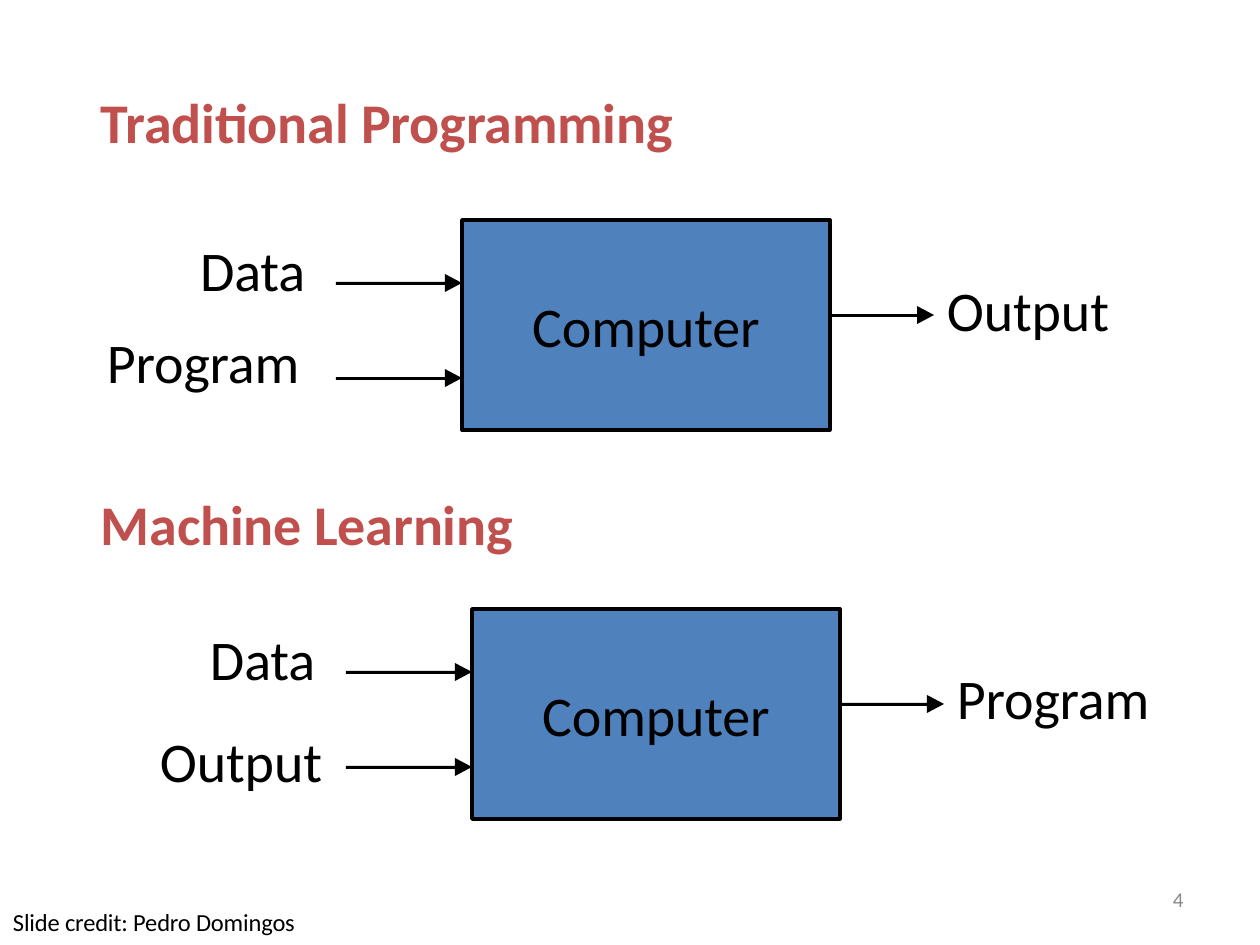
import pptx
import pptx.dml.color
import pptx.enum.shapes
import pptx.enum.text
import pptx.util

SCALE = 914400 / 126
FONT = "Calibri"
COLORS = {
    "heading": "C0504D",
    "computer": "4F81BD",
    "ink": "000000",
    "page": "898989",
}
BOX_WIDTH, BOX_HEIGHT = 368, 210
INPUT_LENGTH, OUTPUT_LENGTH = 126, 104
HEAD_LENGTH, HEAD_HALF = 17, 9


def px(length):
    return pptx.util.Emu(round(length * SCALE))


def rgb(name):
    return pptx.dml.color.RGBColor.from_string(COLORS[name])


def write(frame, wording, size, color, bold=False):
    frame.word_wrap = True
    frame.margin_left = frame.margin_right = 0
    frame.margin_top = frame.margin_bottom = 0
    frame.text = wording
    run = frame.paragraphs[0].runs[0]
    run.font.name = FONT
    run.font.size = pptx.util.Pt(size)
    run.font.bold = bold
    run.font.color.rgb = rgb(color)
    run._r.get_or_add_rPr().set("spc", "-10")


def add_label(slide, wording, left, top, width, height=70, size=32,
              color="ink", bold=False):
    label = slide.shapes.add_textbox(px(left), px(top), px(width), px(height))
    write(label.text_frame, wording, size, color, bold)


def add_computer(slide, left, top):
    computer = slide.shapes.add_shape(
        pptx.enum.shapes.MSO_SHAPE.RECTANGLE,
        px(left), px(top), px(BOX_WIDTH), px(BOX_HEIGHT))
    computer.shadow.inherit = False
    computer.fill.solid()
    computer.fill.fore_color.rgb = rgb("computer")
    computer.line.color.rgb = rgb("ink")
    computer.line.width = pptx.util.Pt(2)
    frame = computer.text_frame
    write(frame, "Computer", 32, "ink")
    frame.vertical_anchor = pptx.enum.text.MSO_ANCHOR.MIDDLE
    frame.paragraphs[0].alignment = pptx.enum.text.PP_ALIGN.CENTER


def add_arrow(slide, left, y, length):
    tip = left + length
    neck = tip - HEAD_LENGTH
    outline = slide.shapes.build_freeform(neck, y - HEAD_HALF, scale=SCALE)
    outline.add_line_segments([
        (neck, y - 1), (left, y - 1), (left, y + 2), (neck, y + 2),
        (neck, y + HEAD_HALF), (tip, y)])
    arrow = outline.convert_to_shape()
    arrow.shadow.inherit = False
    arrow.fill.solid()
    arrow.fill.fore_color.rgb = rgb("ink")
    arrow.line.fill.background()


def add_process(slide, left, top, inputs, result):
    add_computer(slide, left, top)
    right = left + BOX_WIDTH
    for arrow_left, arrow_y, length in (
            (left - INPUT_LENGTH, 63, INPUT_LENGTH),
            (left - INPUT_LENGTH, 158, INPUT_LENGTH),
            (right, 95, OUTPUT_LENGTH)):
        add_arrow(slide, arrow_left, top + arrow_y, length)
    for wording, label_left, label_top, width in inputs:
        add_label(slide, wording, left + label_left, top + label_top, width)
    add_label(slide, result, right + 117, top + 55, 200)


def main():
    deck = pptx.Presentation()
    deck.slide_width, deck.slide_height = px(1260), px(945)
    slide = deck.slides.add_slide(deck.slide_layouts[6])

    for heading, top in (("Traditional Programming", 87),
                         ("Machine Learning", 489)):
        add_label(slide, heading, 101, top, 580, color="heading", bold=True)

    add_process(slide, 462, 220,
                [("Data", -262, 16, 120), ("Program", -355, 107, 202)],
                "Output")
    add_process(slide, 472, 609,
                [("Data", -262, 15, 120), ("Output", -312, 118, 170)],
                "Program")

    add_label(slide, "Slide credit: Pedro Domingos", 13, 907, 290, 32, size=14)
    add_label(slide, "4", 1173, 887, 16, 28, size=12, color="page")
    deck.save("out.pptx")


if __name__ == "__main__":
    main()
